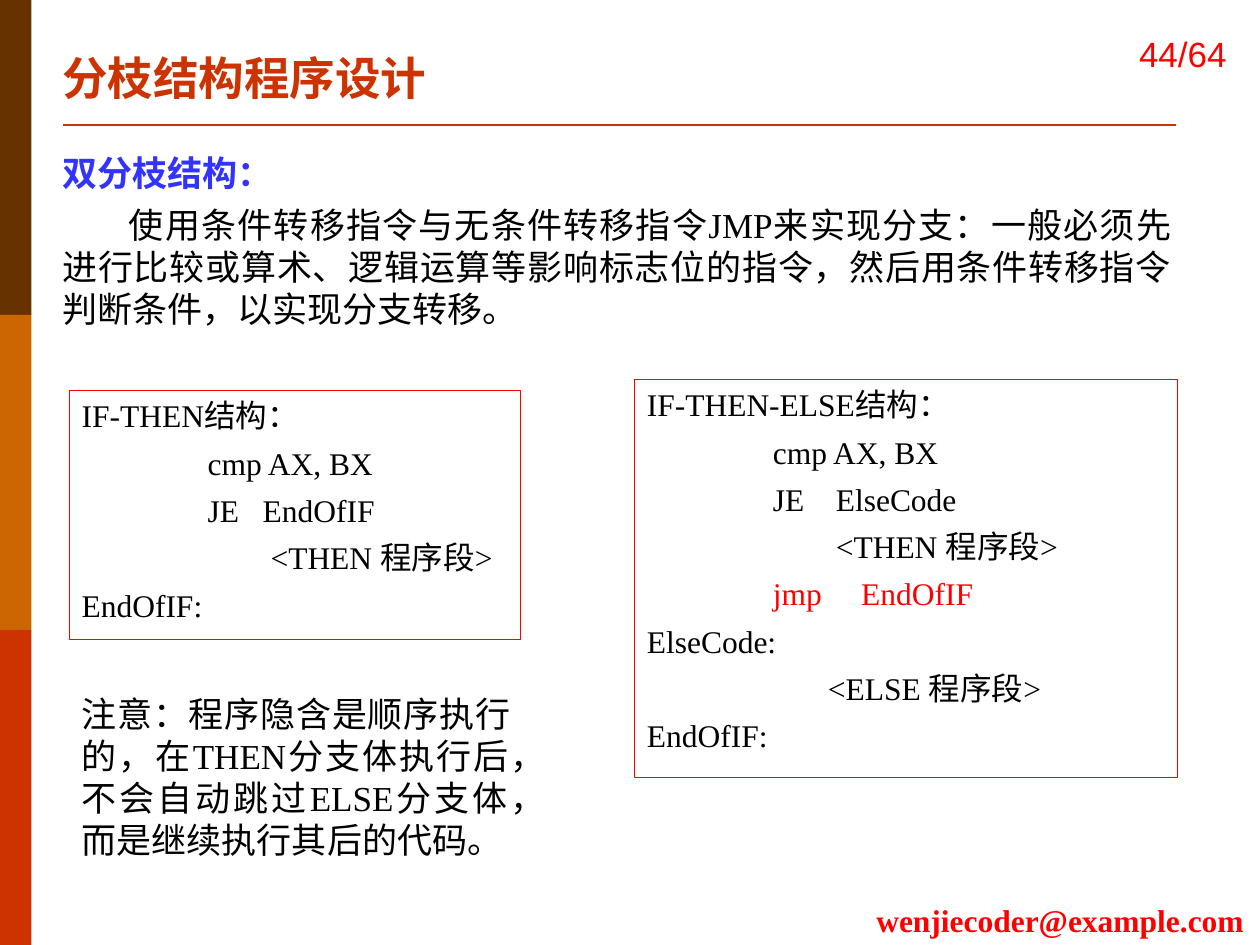
from dataclasses import dataclass

from lxml import etree
from pptx import Presentation
from pptx import util as u
from pptx.dml import color
from pptx.enum import shapes, text
from pptx.oxml import ns

Pt = u.Pt


@dataclass(frozen=True)
class Theme:
    # Colours
    bars: tuple = ("663300", "CC6600", "CC3300")
    accent: str = "CC3300"
    heading: str = "3333FF"
    alert: str = "FF0000"
    ink: str = "000000"
    # Type
    serif: str = "Times New Roman"
    sans: str = "Arial"
    chinese: str = "Noto Sans CJK SC"
    title_size: int = 26
    body_size: int = 20
    code_size: int = 18
    tab_width: int = 72


THEME = Theme()
JUSTIFY = text.PP_ALIGN.JUSTIFY
RIGHT = text.PP_ALIGN.RIGHT


def rgb(value):
    return color.RGBColor.from_string(value)


def apply(target, **values):
    for name, value in values.items():
        setattr(target, name, value)


def place(shape, box):
    names = ("left", "top", "width", "height")
    apply(shape, **{name: Pt(value) for name, value in zip(names, box)})


def write(paragraph, words, size, ink=THEME.ink, bold=False, face=THEME.serif, indent=0, **layout):
    """Fill a paragraph with one run, without bullet or hanging indent."""
    properties = paragraph._p.get_or_add_pPr()
    lengths = {"marL": 0, "indent": indent, "defTabSz": THEME.tab_width}
    for name, value in lengths.items():
        properties.set(name, str(Pt(value)))
    etree.SubElement(properties, ns.qn("a:buNone"))
    # The tab stop also holds where the default tab width is not read
    stops = etree.SubElement(properties, ns.qn("a:tabLst"))
    etree.SubElement(stops, ns.qn("a:tab"), pos=str(Pt(THEME.tab_width)), algn="l")
    apply(paragraph, **{"space_before": Pt(0), **layout})
    run = paragraph.add_run()
    run.text = words
    apply(run.font, size=Pt(size), bold=bold, name=face)
    run.font.color.rgb = rgb(ink)
    east_asian = etree.SubElement(run._r.get_or_add_rPr(), ns.qn("a:ea"))
    east_asian.set("typeface", THEME.chinese)


def spacing(size, first):
    """Fixed line pitch, with a gap between paragraphs."""
    return {
        "line_spacing": Pt(1.2 * size),
        "space_before": Pt(0 if first else 0.3 * size),
        "alignment": JUSTIFY,
    }


def add_side_bars(slide, box):
    left, top, width, height = box
    step = height / len(THEME.bars)
    for index, fill in enumerate(THEME.bars):
        bar = slide.shapes.add_shape(
            shapes.MSO_SHAPE.RECTANGLE,
            Pt(left), Pt(top + index * step), Pt(width), Pt(step))
        bar.shadow.inherit = False
        bar.fill.solid()
        bar.fill.fore_color.rgb = rgb(fill)
        bar.line.fill.background()


def add_title(slide, box):
    title = slide.shapes.title
    place(title, box)
    frame = title.text_frame
    apply(frame, vertical_anchor=text.MSO_ANCHOR.MIDDLE, word_wrap=True,
          auto_size=text.MSO_AUTO_SIZE.NONE)
    write(frame.paragraphs[0], "分枝结构程序设计", THEME.title_size,
          THEME.accent, bold=True, alignment=text.PP_ALIGN.LEFT)


def add_title_rule(slide, box):
    left, top, width, height = box
    rule = slide.shapes.add_connector(
        shapes.MSO_CONNECTOR.STRAIGHT,
        Pt(left), Pt(top), Pt(left + width), Pt(top + height))
    rule.line.color.rgb = rgb(THEME.accent)
    rule.line.width = Pt(1.5)
    etree.SubElement(rule._element.spPr, ns.qn("a:effectLst"))


def add_body(slide, box):
    body = slide.placeholders[1]
    place(body, box)
    frame = body.text_frame
    apply(frame, word_wrap=True, auto_size=text.MSO_AUTO_SIZE.NONE,
          vertical_anchor=text.MSO_ANCHOR.TOP)
    size = THEME.body_size
    write(frame.paragraphs[0], "双分枝结构：", size, THEME.heading, bold=True,
          face=THEME.chinese, **spacing(size, first=True))
    write(frame.add_paragraph(),
          "使用条件转移指令与无条件转移指令JMP来实现分支：一般必须先进行比较或算术、"
          "逻辑运算等影响标志位的指令，然后用条件转移指令判断条件，以实现分支转移。",
          size, indent=38, **spacing(size, first=False))


def add_code_box(slide, box, lines, highlighted=()):
    panel = slide.shapes.add_shape(shapes.MSO_SHAPE.RECTANGLE, *map(Pt, box))
    panel.shadow.inherit = False
    panel.fill.background()
    panel.line.color.rgb = rgb(THEME.alert)
    panel.line.width = Pt(0.75)
    frame = panel.text_frame
    apply(frame, word_wrap=True, vertical_anchor=text.MSO_ANCHOR.TOP, margin_right=Pt(3))
    for index, line in enumerate(lines):
        paragraph = frame.add_paragraph() if index else frame.paragraphs[0]
        ink = THEME.alert if index in highlighted else THEME.ink
        write(paragraph, line, THEME.code_size, ink,
              **spacing(THEME.code_size, first=index == 0))


def add_text(slide, box, words, size, frame_format=None, **style):
    frame = slide.shapes.add_textbox(*map(Pt, box)).text_frame
    apply(frame, **{"word_wrap": True, **(frame_format or {})})
    write(frame.paragraphs[0], words, size, **style)


def main():
    presentation = Presentation()
    apply(presentation, slide_width=Pt(720), slide_height=Pt(540))
    slide = presentation.slides.add_slide(presentation.slide_layouts[1])

    # Frame of the slide
    add_side_bars(slide, (0, 0, 18, 540))
    add_title_rule(slide, (36, 71.4, 636, 0))
    add_text(slide, (480, 511.2, 238, 28.8), "wenjiecoder@example.com",
             THEME.code_size, ink=THEME.alert, bold=True, alignment=RIGHT)
    add_text(slide, (632, 0.5, 88, 60.5), "44/64", THEME.body_size,
             {"vertical_anchor": text.MSO_ANCHOR.MIDDLE, "margin_right": Pt(19)},
             ink=THEME.alert, face=THEME.sans, alignment=RIGHT)

    # Heading and explanation
    add_title(slide, (28.4, 24.8, 503.3, 38.9))
    add_body(slide, (28.4, 82.8, 648, 108))

    # The two structures
    add_code_box(slide, (39.6, 223, 258, 142.5), (
        "IF-THEN结构：",
        "\tcmp AX, BX",
        "\tJE   EndOfIF",
        "\t        <THEN 程序段>",
        "EndOfIF:",
    ))
    add_code_box(slide, (362.6, 216.7, 310.4, 227.5), (
        "IF-THEN-ELSE结构：",
        "\tcmp AX, BX",
        "\tJE    ElseCode",
        "\t        <THEN 程序段>",
        "\tjmp     EndOfIF",
        "ElseCode:",
        "\t       <ELSE 程序段>",
        "EndOfIF:",
    ), highlighted=(4,))

    # Note under the first structure
    add_text(slide, (39.6, 392.4, 259.2, 104.4),
             "注意：程序隐含是顺序执行的，在THEN分支体执行后，"
             "不会自动跳过ELSE分支体，而是继续执行其后的代码。",
             THEME.body_size, **spacing(THEME.body_size, first=True))

    presentation.save("out.pptx")


if __name__ == "__main__":
    main()
